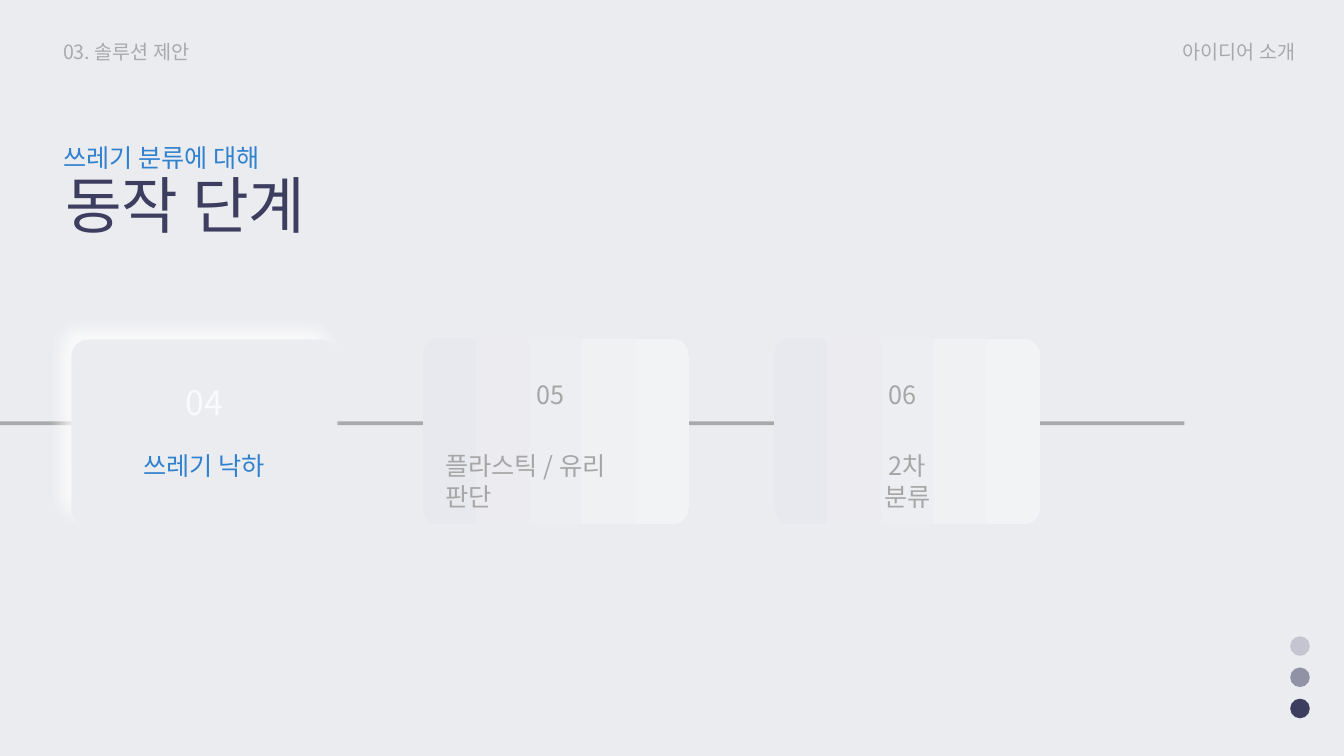
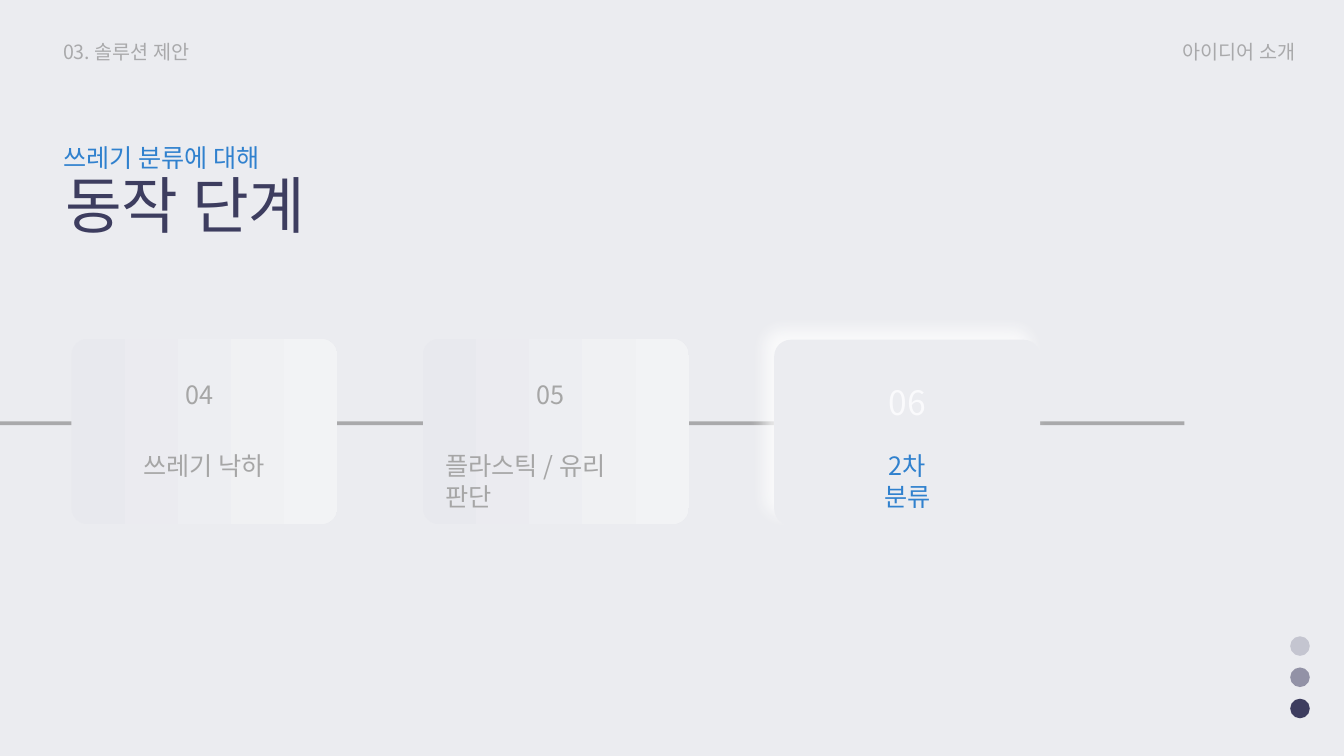
from lxml.etree import SubElement
from pptx import Presentation
from pptx.dml.color import RGBColor as RGB
from pptx.enum.shapes import MSO_CONNECTOR as CONN, MSO_SHAPE as SHAPE
from pptx.enum.text import PP_ALIGN as AL
from pptx.oxml.ns import qn
from pptx.util import Pt

BG = RGB(0xEB, 0xEC, 0xF0)
NAVY = RGB(0x3D, 0x3D, 0x5F)
BLUE = RGB(0x30, 0x81, 0xCE)
GRAY = RGB(0x7D, 0x7D, 0x7D)
MUTED = RGB(0xA6, 0xA6, 0xA6)
PALE = RGB(0xFA, 0xFA, 0xFC)
WHITE = RGB(0xFF, 0xFF, 0xFF)
GRAD = (RGB(0xE8, 0xE9, 0xEE), RGB(0xF2, 0xF3, 0xF5))

FONT = "Noto Sans CJK KR"
LEADING = 1.23

CARD_W, CARD_H = 190, 132.5
CARD_LEFT, CARD_TOP, CARD_PITCH = 51, 242, 251
STEPS = [
    ("04", "쓰레기 낙하", AL.CENTER),
    ("05", "플라스틱 / 유리\v판단", AL.LEFT),
    ("06", "2차\v분류", AL.CENTER),
]
ACTIVE_STEPS = (0, 2)


def set_alpha(el, percent):
    clr = next(el.iter(qn("a:srgbClr")))
    SubElement(clr, qn("a:alpha"), val=str(percent * 1000))


def add_text(slide, box, text, size, color, align=AL.LEFT, alpha=None):
    sp = slide.shapes.add_textbox(*map(Pt, box))
    tf = sp.text_frame
    tf.word_wrap = True
    p = tf.paragraphs[0]
    p.text = text
    p.alignment = align
    p.line_spacing = Pt(round(size * LEADING))
    for r in p.runs:
        for name, value in {"size": Pt(size), "name": FONT}.items():
            setattr(r.font, name, value)
        r.font.color.rgb = color
        rpr = r._r.get_or_add_rPr()
        SubElement(rpr, qn("a:ea"), typeface=FONT)
        if alpha:
            set_alpha(rpr, alpha)


def add_shape(slide, kind, box):
    sp = slide.shapes.add_shape(kind, *map(Pt, box))
    sp.shadow.inherit = False
    sp.line.fill.background()
    return sp


def add_header(slide, x, y, w):
    add_text(slide, (x, y, 200, 24), "03. 솔루션 제안", 14, GRAY, alpha=60)
    add_text(slide, (x + w - 200, y, 200, 24), "아이디어 소개", 14, GRAY, AL.RIGHT, 60)


def add_title(slide, x, y):
    add_text(slide, (x, y, 200, 29), "쓰레기 분류에 대해", 18, BLUE)
    add_text(slide, (x - 3, y + 16.5, 195, 60), "동작 단계", 44, NAVY, AL.CENTER)


def add_dots(slide, x, y):
    for i, alpha in enumerate((22, 51, 100)):
        sp = add_shape(slide, SHAPE.OVAL, (x, y + i * 22.3, 14, 14))
        sp.fill.solid()
        sp.fill.fore_color.rgb = NAVY
        if alpha < 100:
            set_alpha(sp.fill._xPr, alpha)


def add_track(slide, x, y, w):
    line = slide.shapes.add_connector(CONN.STRAIGHT, Pt(x), Pt(y), Pt(x + w), Pt(y))
    line.line.color.rgb = GRAY
    line.line.width = Pt(2.75)
    sppr = line._element.spPr
    set_alpha(sppr, 60)
    SubElement(sppr, qn("a:effectLst"))


def add_glow(sp):
    effects = sp._element.spPr.find(qn("a:effectLst"))
    glow = SubElement(effects, qn("a:outerShdw"), blurRad=str(Pt(12)), dist=str(Pt(10)),
                      dir=str(225 * 60000), algn="br", rotWithShape="0")
    SubElement(glow, qn("a:srgbClr"), val=str(WHITE))
    set_alpha(glow, 78)


def add_card(slide, x, y, step, active):
    number, label, align = step
    top = y + 0.7 if active else y
    sp = add_shape(slide, SHAPE.ROUNDED_RECTANGLE, (x, top, CARD_W, CARD_H))
    sp.adjustments[0] = 0.089
    if active:
        sp.fill.solid()
        sp.fill.fore_color.rgb = BG
        add_glow(sp)
        add_text(slide, (x, y + 26, CARD_W, 40), number, 24, PALE, AL.CENTER)
    else:
        sp.fill.gradient()
        sp.fill.gradient_angle = 0
        for stop, color in zip(sp.fill.gradient_stops, GRAD):
            stop.color.rgb = color
        add_text(slide, (x + 74.5, y + 25, 45, 29), number, 18, MUTED)
    inset = 9 if align == AL.LEFT else 0
    add_text(slide, (x + inset, y + 75.5, CARD_W - 2 * inset, 29), label, 18,
             BLUE if active else MUTED, align)


def add_steps(slide, x, y, active):
    for i in sorted(range(len(STEPS)), key=lambda n: n == active):
        add_card(slide, x + i * CARD_PITCH, y, STEPS[i], i == active)


def add_step_slide(prs, active):
    slide = prs.slides.add_slide(prs.slide_layouts[6])
    fill = slide.background.fill
    fill.solid()
    fill.fore_color.rgb = BG
    add_dots(slide, 921.6, 454.5)
    add_track(slide, 0, 302.4, 846)
    add_steps(slide, CARD_LEFT, CARD_TOP, active)
    add_header(slide, 38, 24.5, 894.4)
    add_title(slide, 38, 98)


def main():
    prs = Presentation()
    prs.slide_width, prs.slide_height = Pt(960), Pt(540)
    for active in ACTIVE_STEPS:
        add_step_slide(prs, active)
    prs.save("out.pptx")


if __name__ == "__main__":
    main()
